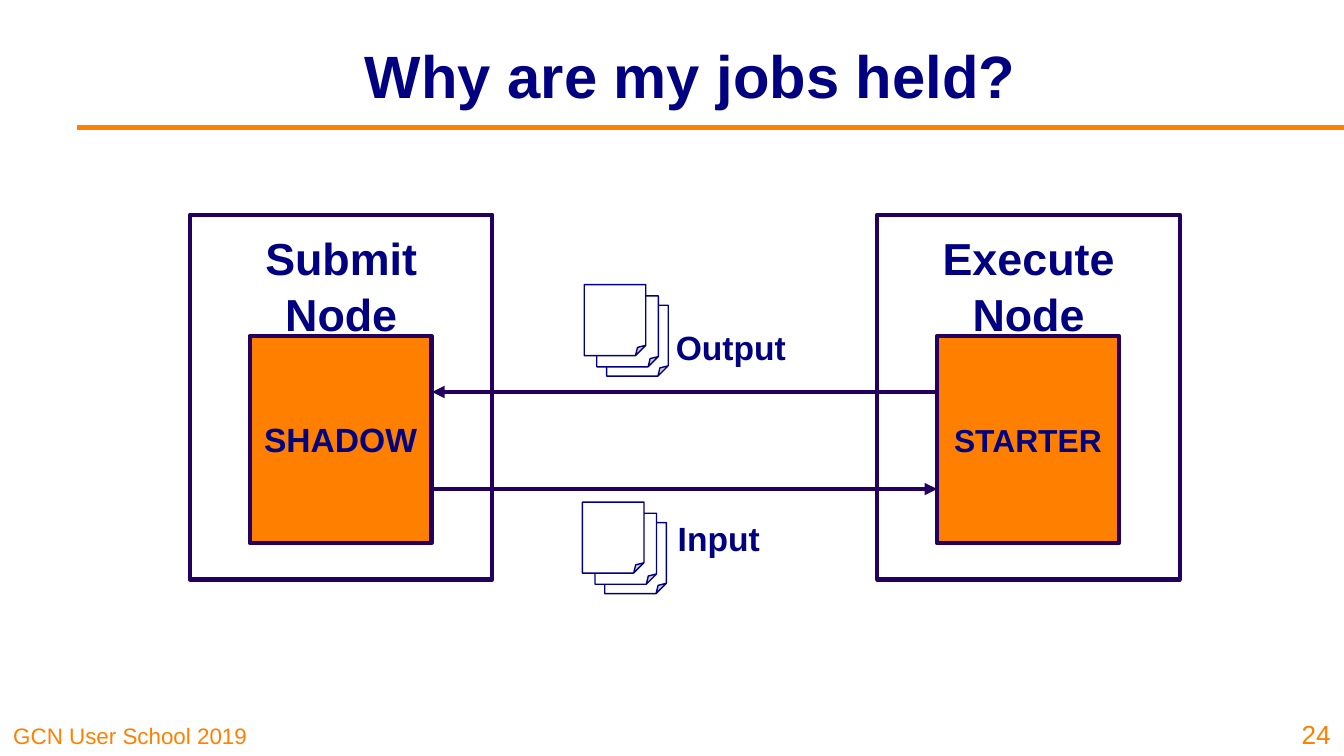
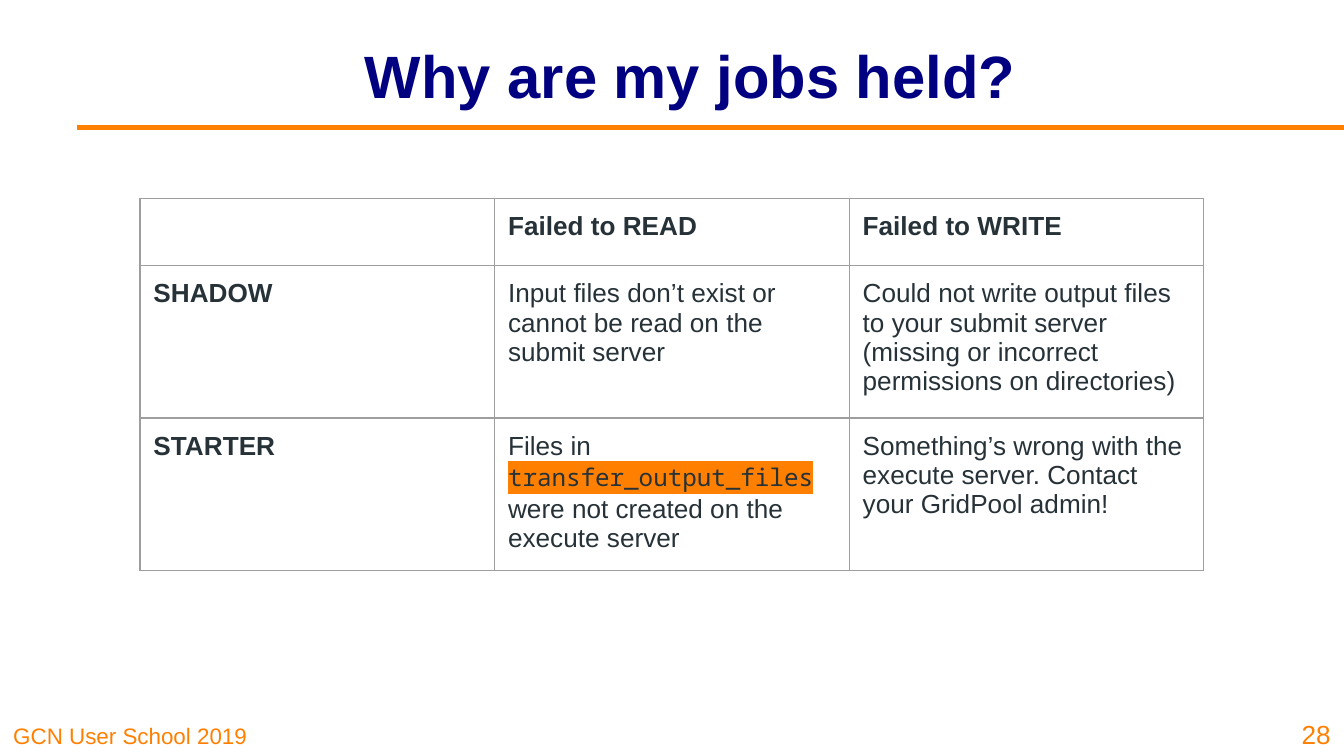
import pptx
import pptx.dml.color
import pptx.enum.shapes
import pptx.enum.text
import pptx.oxml.ns
import pptx.oxml.xmlchemy
import pptx.util
from lxml import etree

Pt = pptx.util.Pt
RGBColor = pptx.dml.color.RGBColor
Shape = pptx.enum.shapes.MSO_SHAPE
Align = pptx.enum.text.PP_ALIGN
Anchor = pptx.enum.text.MSO_ANCHOR
qn = pptx.oxml.ns.qn
OxmlElement = pptx.oxml.xmlchemy.OxmlElement

ORANGE = RGBColor(0xFF, 0x80, 0x00)
NAVY = RGBColor(0x00, 0x00, 0x80)
INDIGO = RGBColor(0x23, 0x00, 0x5F)
SLATE = RGBColor(0x26, 0x32, 0x38)
GREY = RGBColor(0x9E, 0x9E, 0x9E)
WHITE = RGBColor(0xFF, 0xFF, 0xFF)

INSET = 7.2
TITLE = {"size": Pt(32), "bold": True, "color": NAVY}
FOOTER = {"size": Pt(12), "color": ORANGE}
NUMBER = {"size": Pt(14), "color": ORANGE}
NODE = {"size": Pt(24), "bold": True, "color": NAVY}
LABEL = {"size": Pt(18), "bold": True, "color": NAVY}
SMALL_LABEL = LABEL | {"size": Pt(17)}
BODY = {"size": Pt(14), "bold": False, "color": SLATE}
HEADING = BODY | {"bold": True}
CODE = BODY | {"size": Pt(13), "name": "Noto Sans Mono", "highlight": ORANGE}
CODE_SPACE = BODY | {"name": "Courier New"}

FAILURES = [
    [[], [("Failed to READ", HEADING)], [("Failed to WRITE", HEADING)]],
    [
        [("SHADOW", HEADING)],
        [("Input files don’t exist or cannot be read on the submit server", BODY)],
        [("Could not write output files to your submit server "
          "(missing or incorrect permissions on directories)", BODY)],
    ],
    [
        [("STARTER", HEADING)],
        [("Files in ", BODY), ("transfer_output_files", CODE), (" ", CODE_SPACE),
         ("were not created on the execute server", BODY)],
        [("Something’s wrong with the execute server. "
          "Contact your GridPool admin!", BODY)],
    ],
]


def add_span(para, text, style):
    span = para.add_run()
    span.text = text
    values = {"name": "Arial"} | style
    span.font.color.rgb = values.pop("color")
    highlight = values.pop("highlight", None)
    for attribute, value in values.items():
        setattr(span.font, attribute, value)
    if highlight is not None:
        mark = OxmlElement("a:highlight")
        etree.SubElement(mark, qn("a:srgbClr"), val=str(highlight))
        span.font._element.find(qn("a:latin")).addprevious(mark)


def fill_frame(frame, text, style, align, anchor, inset, spacing=1.0):
    values = {
        "word_wrap": True, "vertical_anchor": anchor,
        "margin_left": Pt(INSET), "margin_right": Pt(INSET),
        "margin_top": Pt(inset), "margin_bottom": Pt(inset),
    }
    for attribute, value in values.items():
        setattr(frame, attribute, value)
    para = frame.paragraphs[0]
    para.alignment = align
    para.line_spacing = spacing
    add_span(para, text, style)


def add_text(slide, bounds, text, style, align=Align.LEFT, anchor=Anchor.TOP, inset=3.6):
    box = slide.shapes.add_textbox(*map(Pt, bounds))
    fill_frame(box.text_frame, text, style, align, anchor, inset)


def add_panel(slide, kind, bounds, fill, line, width):
    panel = slide.shapes.add_shape(kind, *map(Pt, bounds))
    panel.shadow.inherit = False
    if fill is None:
        panel.fill.background()
    else:
        panel.fill.solid()
        panel.fill.fore_color.rgb = fill
    panel.line.color.rgb = line
    panel.line.width = Pt(width)
    return panel


def add_line(slide, start, end, color, width, arrow=False):
    line = slide.shapes.add_connector(
        pptx.enum.shapes.MSO_CONNECTOR.STRAIGHT, *map(Pt, start + end))
    line.line.color.rgb = color
    line.line.width = Pt(width)
    properties = line._element.spPr
    if arrow:
        etree.SubElement(properties.find(qn("a:ln")), qn("a:tailEnd"), type="triangle")
    etree.SubElement(properties, qn("a:effectLst"))


def add_node(slide, left, name, process, process_style):
    """Draw a machine with the process that runs inside it."""
    machine = add_panel(slide, Shape.RECTANGLE, (left, 115, 162, 195.5), None, INDIGO, 2.25)
    fill_frame(machine.text_frame, name, NODE, Align.CENTER, Anchor.TOP, INSET, 1.05)
    daemon = add_panel(
        slide, Shape.RECTANGLE, (left + 32, 180, 97.5, 111), ORANGE, INDIGO, 2.25)
    fill_frame(daemon.text_frame, process, process_style,
               Align.CENTER, Anchor.MIDDLE, INSET)


def add_files(slide, left, top):
    """Stack three sheets, the front one at the given corner."""
    for right, down in ((12, 11), (6.75, 6), (0, 0)):
        add_panel(slide, Shape.FOLDED_CORNER, (left + right, top + down, 33, 38),
                  WHITE, NAVY, 0.75)


def border_cell(cell):
    properties = cell._tc.get_or_add_tcPr()
    for index, side in enumerate(("a:lnL", "a:lnR", "a:lnT", "a:lnB")):
        edge = OxmlElement(side)
        edge.set("w", str(Pt(0.75)))
        paint = etree.SubElement(edge, qn("a:solidFill"))
        etree.SubElement(paint, qn("a:srgbClr"), val=str(GREY))
        properties.insert(index, edge)


def add_grid(slide, left, top, column_width, row_height, rows):
    columns = len(rows[0])
    table = slide.shapes.add_table(
        len(rows), columns, Pt(left), Pt(top),
        Pt(column_width * columns), Pt(row_height * len(rows))).table
    table.first_row = table.horz_banding = False
    for row_index, row in enumerate(rows):
        for column_index, spans in enumerate(row):
            cell = table.cell(row_index, column_index)
            cell.fill.background()
            for side in ("left", "right", "top", "bottom"):
                setattr(cell, f"margin_{side}", Pt(INSET))
            border_cell(cell)
            for text, style in spans:
                add_span(cell.text_frame.paragraphs[0], text, style)


def add_slide(deck, number):
    """Add a slide with the shared rule, footer, title and page number."""
    slide = deck.slides.add_slide(deck.slide_layouts[6])
    add_line(slide, (41, 68.3), (720, 68.3), ORANGE, 3)
    add_text(slide, (0, 382.5, 178.5, 22.5), "GCN User School 2019", FOOTER,
             anchor=Anchor.BOTTOM)
    add_text(slide, (96.5, 6.5, 547, 67.5), "Why are my jobs held?", TITLE,
             Align.CENTER, Anchor.MIDDLE)
    add_text(slide, (687, 378, 33, 27), str(number), NUMBER, Align.RIGHT, Anchor.BOTTOM)
    return slide


def add_transfer_slide(deck):
    slide = add_slide(deck, 24)
    add_node(slide, 101.75, "Submit Node", "SHADOW", LABEL)
    add_node(slide, 470, "Execute Node", "STARTER", SMALL_LABEL)
    add_files(slide, 312, 269)
    add_files(slide, 313, 152.5)
    add_text(slide, (355, 168, 96.5, 34.5), "Output", LABEL, inset=INSET)
    add_text(slide, (356, 270, 96.5, 34.5), "Input", LABEL, inset=INSET)
    add_line(slide, (231.5, 262), (502, 262), INDIGO, 2.25, arrow=True)
    add_line(slide, (502, 210), (231.5, 210), INDIGO, 2.25, arrow=True)


def add_failure_slide(deck):
    slide = add_slide(deck, 28)
    add_grid(slide, 75, 106.25, 190, 30, FAILURES)


def main():
    deck = pptx.Presentation()
    deck.slide_width, deck.slide_height = Pt(720), Pt(405)
    add_transfer_slide(deck)
    add_failure_slide(deck)
    deck.save("out.pptx")


if __name__ == "__main__":
    main()
